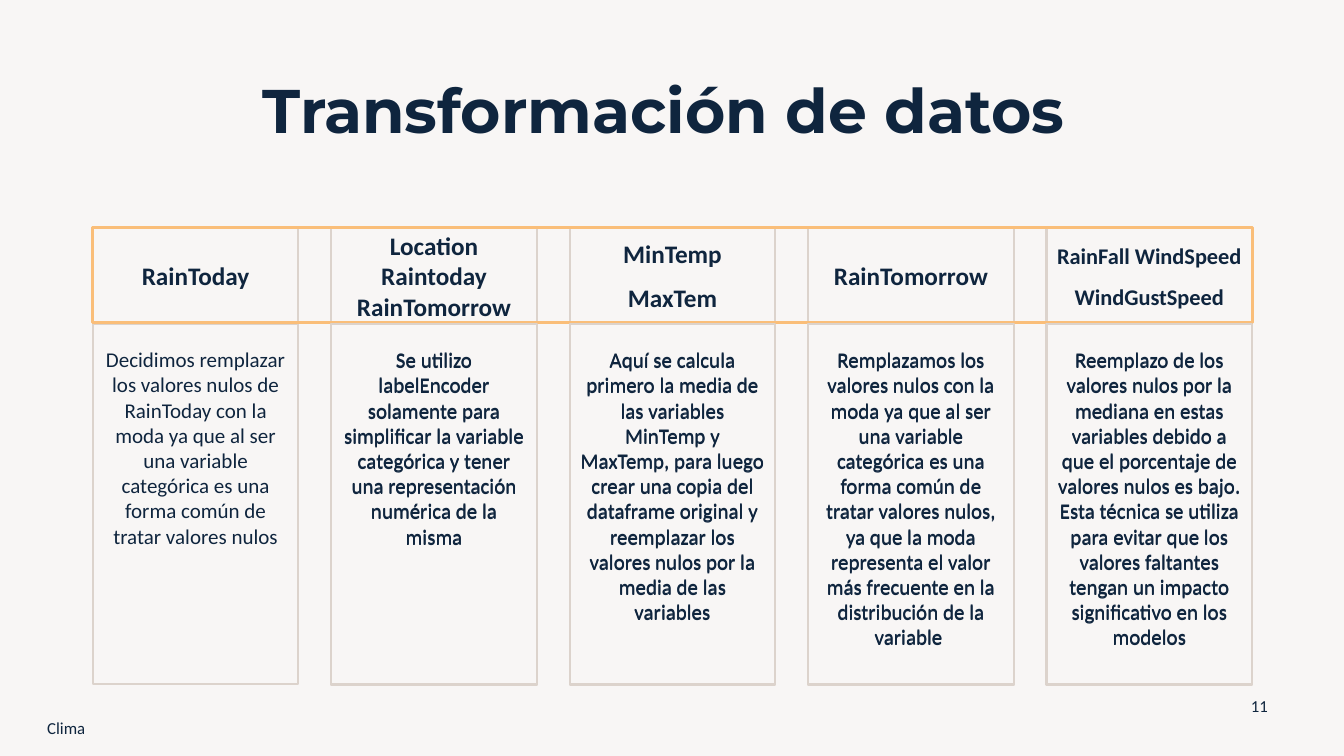
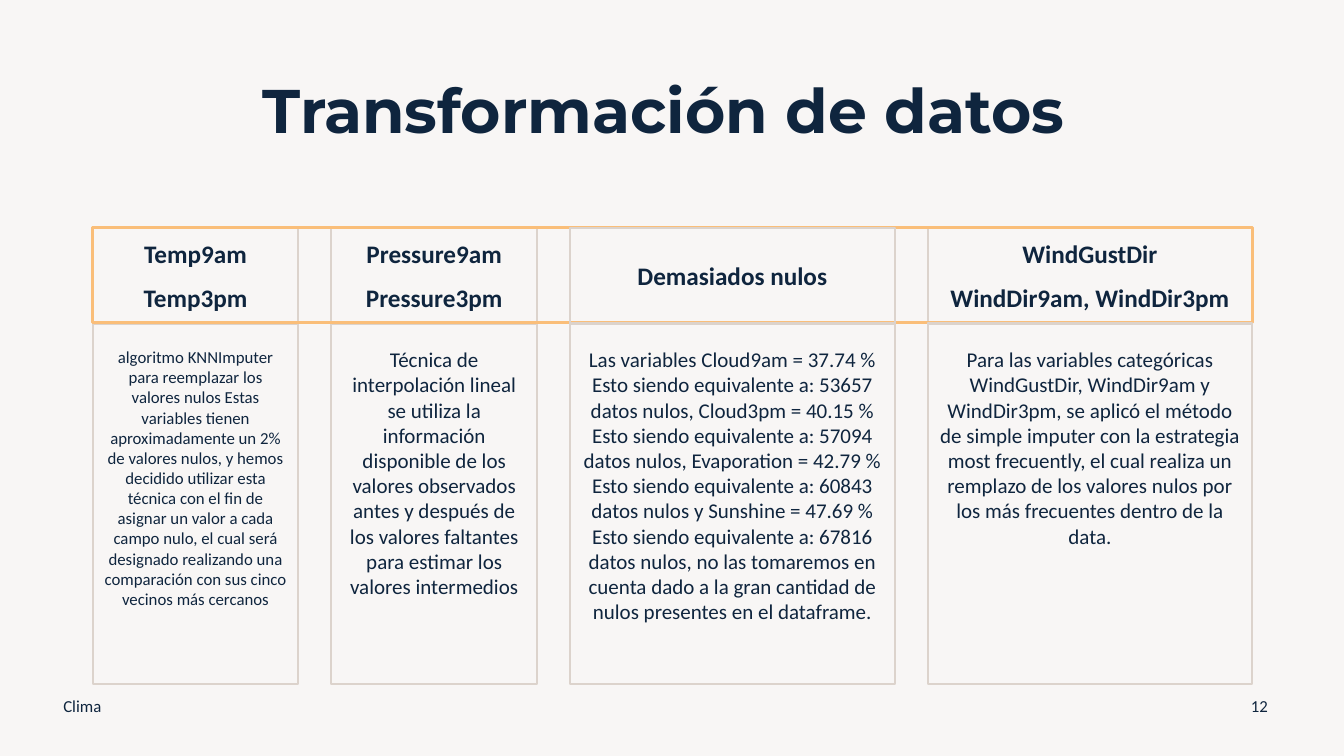
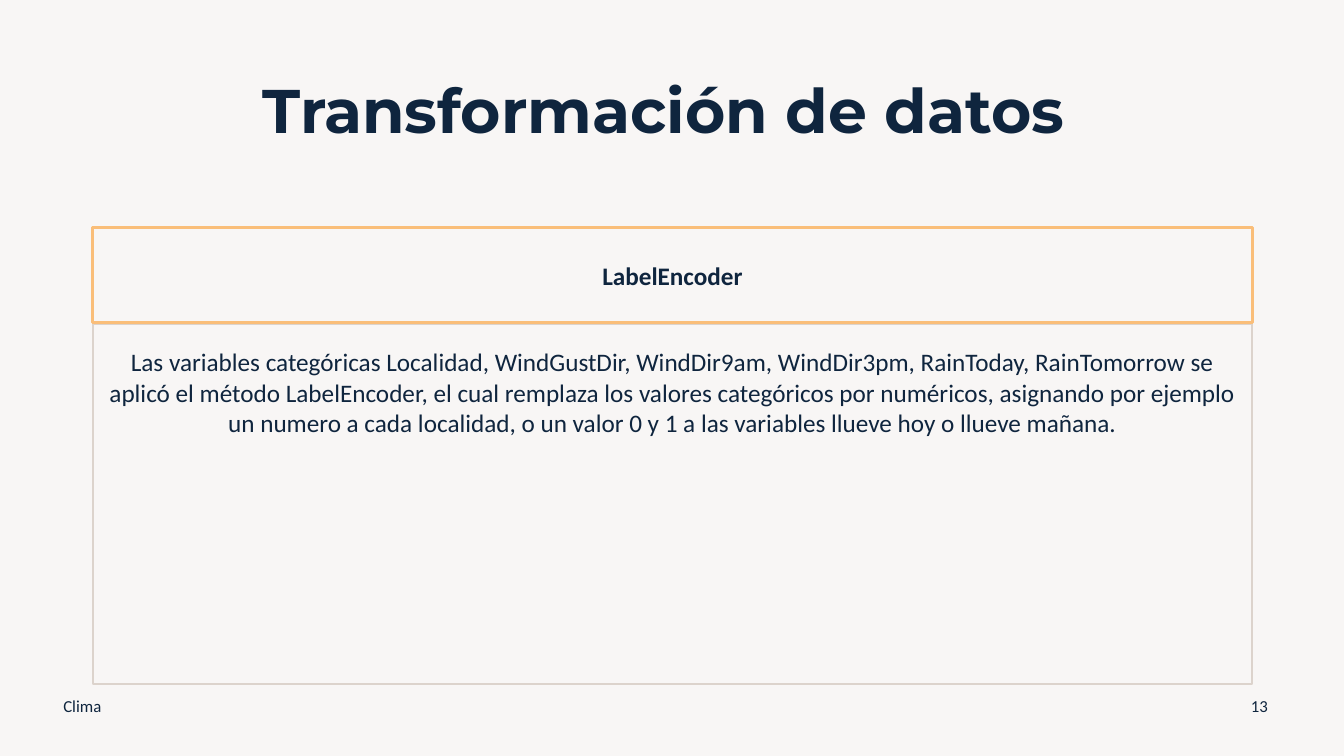
from dataclasses import dataclass

from pptx import Presentation
from pptx.dml.color import RGBColor
from pptx.enum.shapes import MSO_SHAPE as Shape
from pptx.enum.text import MSO_ANCHOR as Anchor, MSO_AUTO_SIZE as Fit, PP_ALIGN as Align
from pptx.util import Inches, Pt

# Shared look
PAPER, INK, GREY, GOLD = "F8F6F5", "0F253E", "DCD3CC", "FABE79"
FONT, BOLD = "Calibri", "Montserrat"
LEFT, WIDTH = 0.92, 11.5
TOP, HEAD = 2.26, 0.95
BASE, BODY = 3.2, 3.59
TITLE = "Transformación de datos "


@dataclass
class Col:
    heads: tuple
    text: str
    width: float = 2.04
    big: int = 18
    size: int = 15
    over: str = ""  # part drawn above the gold band


TODAY = [
    Col(("RainToday",),
        "Decidimos remplazar los valores nulos de RainToday con la moda ya que "
        "al ser una variable categórica es una forma común de tratar valores nulos"),
    Col(("Location Raintoday RainTomorrow",),
        "Se utilizo labelEncoder solamente para simplificar la variable "
        "categórica y tener una representación numérica de la misma"),
    Col(("MinTemp", "MaxTem"),
        "Aquí se calcula primero la media de las variables MinTemp y MaxTemp, "
        "para luego crear una copia del dataframe original y reemplazar los "
        "valores nulos por la media de las variables"),
    Col(("RainTomorrow",),
        "Remplazamos los valores nulos con la moda ya que al ser una variable "
        "categórica es una forma común de tratar valores nulos, ya que la moda "
        "representa el valor más frecuente en la distribución de la variable "),
    Col(("RainFall WindSpeed", "WindGustSpeed"),
        "Reemplazo de los valores nulos por la mediana en estas variables debido "
        "a que el porcentaje de valores nulos es bajo. Esta técnica se utiliza "
        "para evitar que los valores faltantes tengan un impacto significativo "
        "en los modelos", big=16),
]

NULLS = [
    Col(("Temp9am", "Temp3pm"),
        "algoritmo KNNImputer para reemplazar los valores nulos Estas variables "
        "tienen aproximadamente un 2% de valores nulos, y hemos decidido utilizar "
        "esta técnica con el fin de asignar un valor a cada campo nulo, el cual "
        "será designado realizando una comparación con sus cinco vecinos más "
        "cercanos", size=12),
    Col(("Pressure9am", "Pressure3pm"),
        "Técnica de interpolación lineal se utiliza la información disponible de "
        "los valores observados antes y después de los valores faltantes para "
        "estimar los valores intermedios"),
    Col(("Demasiados nulos",),
        "Las variables Cloud9am = 37.74 % Esto siendo equivalente a: 53657 datos "
        "nulos, Cloud3pm = 40.15 % Esto siendo equivalente a: 57094 datos nulos, "
        "Evaporation = 42.79 % Esto siendo equivalente a: 60843 datos nulos y "
        "Sunshine = 47.69 % Esto siendo equivalente a: 67816 datos nulos, no las "
        "tomaremos en cuenta dado a la gran cantidad de nulos presentes en el "
        "dataframe.", width=3.22, over="head"),
    Col(("WindGustDir", "WindDir9am, WindDir3pm"),
        "Para las variables categóricas WindGustDir, WindDir9am y WindDir3pm, se "
        "aplicó el método de simple imputer con la estrategia most frecuently, el "
        "cual realiza un remplazo de los valores nulos por los más frecuentes "
        "dentro de la data.", width=3.22, over="body"),
]

LABEL = [
    Col(("LabelEncoder",),
        "Las variables categóricas Localidad, WindGustDir, WindDir9am, WindDir3pm, "
        "RainToday, RainTomorrow se aplicó el método LabelEncoder, el cual "
        "remplaza los valores categóricos por numéricos, asignando por ejemplo un "
        "numero a cada localidad, o un valor 0 y 1 a las variables llueve hoy o "
        "llueve mañana.", width=WIDTH, size=18),
]


def color(code):
    return RGBColor.from_string(code)


def write(frame, lines, size, bold=False, font=FONT, align=Align.CENTER,
          anchor=Anchor.MIDDLE, gap=0):
    frame.word_wrap = True
    frame.auto_size = Fit.NONE
    frame.vertical_anchor = anchor
    for i, line in enumerate(lines):
        para = frame.paragraphs[0] if i == 0 else frame.add_paragraph()
        para.alignment = align
        para.space_before = Pt(gap)
        run = para.add_run()
        run.text = line
        run.font.name, run.font.size, run.font.bold = font, Pt(size), bold
        run.font.color.rgb = color(INK)


def frame(slide, x, y, w, h, line=GREY, weight=1.5):
    box = slide.shapes.add_shape(
        Shape.RECTANGLE, Inches(x), Inches(y), Inches(w), Inches(h))
    box.shadow.inherit = False
    box.fill.background()
    box.line.color.rgb = color(line)
    box.line.width = Pt(weight)
    return box.text_frame


def head(slide, col, x):
    write(frame(slide, x, TOP, col.width, HEAD), col.heads, col.big,
          bold=True, gap=10)


def body(slide, col, x, y=BASE):
    text = frame(slide, x, y, col.width, BODY)
    text.margin_top = Inches(0.24)
    write(text, [col.text], col.size, anchor=Anchor.TOP)


def label(slide, text, x, y, w, align):
    box = slide.shapes.add_textbox(Inches(x), Inches(y), Inches(w), Inches(0.4))
    write(box.text_frame, [text], 12, align=align)


def place(cols):
    """Pair each column with its left edge, with equal gaps between."""
    gap = (WIDTH - sum(c.width for c in cols)) / max(len(cols) - 1, 1)
    x, spots = LEFT, []
    for col in cols:
        spots.append((col, x))
        x += col.width + gap
    return spots


def build(deck, cols, page, foot=(0.53, 6.8), twice=()):
    slide = deck.slides.add_slide(deck.slide_layouts[5])
    # Title
    title = slide.shapes.title
    title.left, title.top = Inches(LEFT), Inches(0.4)
    title.width, title.height = Inches(WIDTH), Inches(1.45)
    write(title.text_frame, [TITLE], 44, bold=True, font=BOLD)
    title.text_frame.paragraphs[0].line_spacing = 0.9
    # Columns, with the gold band between the lower and upper parts
    spots = place(cols)
    parts = [(name, draw, col, x) for col, x in spots
             for name, draw in (("head", head), ("body", body))]
    for name, draw, col, x in parts:
        if col.over != name:
            draw(slide, col, x)
    frame(slide, LEFT, TOP, WIDTH, 0.94, GOLD, 2.25)
    for name, draw, col, x in parts:
        if col.over == name:
            draw(slide, col, x)
    # Footer
    label(slide, "Clima", *foot, 4.5, Align.LEFT)
    label(slide, str(page), 12.24, 6.8, 0.5, Align.CENTER)
    # Second layer of some bodies, for heavier text
    for i in twice:
        body(slide, *spots[i], BASE + 0.01)


def main():
    deck = Presentation()
    deck.slide_width, deck.slide_height = Inches(13.33), Inches(7.5)
    fill = deck.slide_master.background.fill
    fill.solid()
    fill.fore_color.rgb = color(PAPER)
    build(deck, TODAY, 11, foot=(0.37, 7.02), twice=range(1, 5))
    build(deck, NULLS, 12)
    build(deck, LABEL, 13)
    deck.save("out.pptx")


if __name__ == "__main__":
    main()
